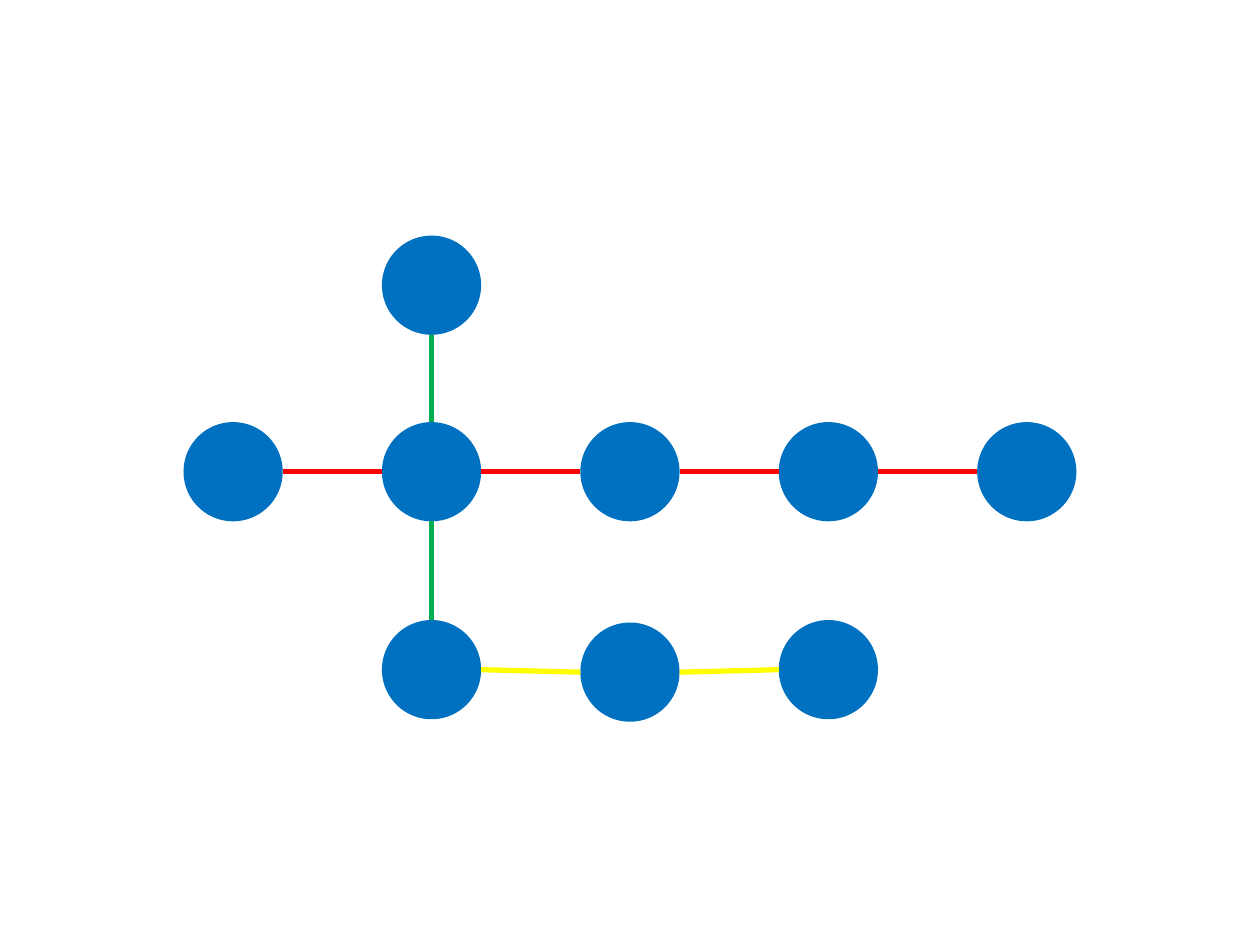
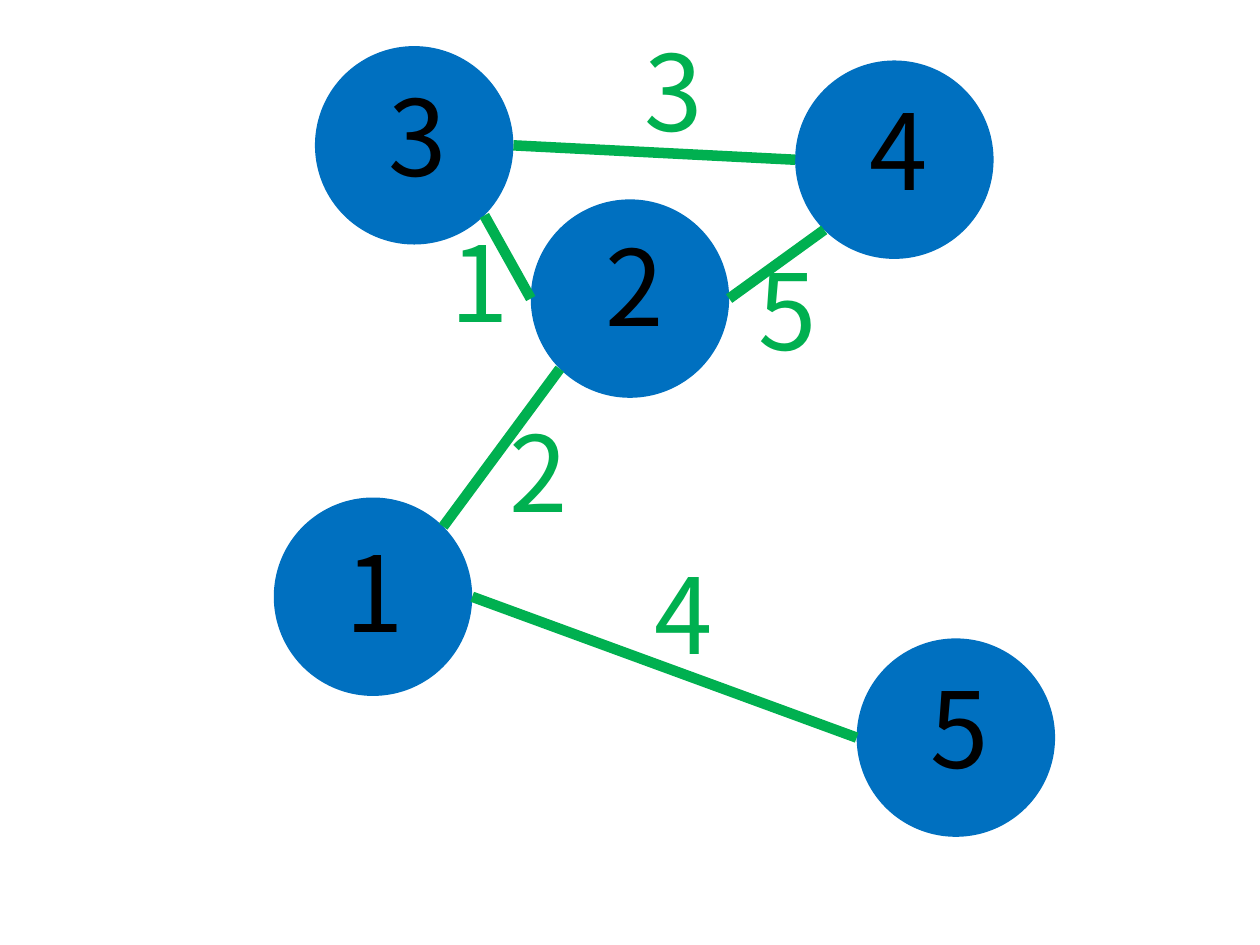
import math

import lxml.etree
import pptx
import pptx.dml.color
import pptx.enum.shapes
import pptx.enum.text
import pptx.oxml.ns
import pptx.util
from pptx.util import Cm

BLUE = pptx.dml.color.RGBColor(0x00, 0x70, 0xC0)
RED = pptx.dml.color.RGBColor(0xFF, 0x00, 0x00)
GREEN = pptx.dml.color.RGBColor(0x00, 0xB0, 0x50)
YELLOW = pptx.dml.color.RGBColor(0xFF, 0xFF, 0x00)
BLACK = pptx.dml.color.RGBColor(0x00, 0x00, 0x00)
FONT = "Noto Sans CJK SC"
BLANK_LAYOUT = 6

# Connection sites of an ellipse, counted anticlockwise from the top
TOP, TOP_LEFT, LEFT, BOTTOM_LEFT, BOTTOM, BOTTOM_RIGHT, RIGHT, TOP_RIGHT = range(8)


def add_text(shapes, text, left, top, width, height, *, size=60, color=BLACK, font=FONT):
    box = shapes.add_textbox(left, top, width, height)
    frame = box.text_frame
    frame.word_wrap = True
    frame.auto_size = pptx.enum.text.MSO_AUTO_SIZE.SHAPE_TO_FIT_TEXT
    run = frame.paragraphs[0].add_run()
    run.text = text
    run.font.size = pptx.util.Pt(size)
    run.font.name = font
    run.font.color.rgb = color
    return box


def add_node(shapes, left, top, diameter):
    node = shapes.add_shape(
        pptx.enum.shapes.MSO_SHAPE.OVAL, left, top, diameter, diameter)
    node.shadow.inherit = False
    node.fill.solid()
    node.fill.fore_color.rgb = BLUE
    node.line.fill.background()
    return node


def site_point(node, site):
    """Return the point of a connection site on a circular node."""
    angle = math.radians(90 + 45 * site)
    radius = node.width / 2
    return (round(node.left + radius * (1 + math.cos(angle))),
            round(node.top + radius * (1 - math.sin(angle))))


def add_edge(shapes, start, start_site, end, end_site, color, weight):
    """Join two nodes with a line attached to their elliptical sites."""
    edge = shapes.add_connector(
        pptx.enum.shapes.MSO_CONNECTOR.STRAIGHT,
        *site_point(start, start_site), *site_point(end, end_site))
    edge.line.color.rgb = color
    edge.line.width = pptx.util.Pt(weight)
    qn = pptx.oxml.ns.qn
    lxml.etree.SubElement(edge.element.spPr, qn("a:effectLst"))
    joints = edge.element.nvCxnSpPr.cNvCxnSpPr
    for tag, node, site in (("a:stCxn", start, start_site), ("a:endCxn", end, end_site)):
        lxml.etree.SubElement(joints, qn(tag), id=str(node.shape_id), idx=str(site))


def add_lattice(slide, left, top):
    """Draw a row of five nodes, with a branch above and a row of three below."""
    diameter, step = Cm(2), Cm(4)
    middle_top, lower_top = Cm(3.76), Cm(7.75)
    lower_sag = (Cm(0), Cm(0.05), Cm(0))

    middle = [add_node(slide.shapes, left + i * step, top + middle_top, diameter)
              for i in range(5)]
    upper = add_node(slide.shapes, left + step, top, diameter)
    lower = [add_node(slide.shapes, left + (i + 1) * step, top + lower_top + sag, diameter)
             for i, sag in enumerate(lower_sag)]

    for row, color in ((middle, RED), (lower, YELLOW)):
        for start, end in zip(row, row[1:]):
            add_edge(slide.shapes, start, RIGHT, end, LEFT, color, 3)
    branch = (upper, middle[1], lower[0])
    for start, end in zip(branch, branch[1:]):
        add_edge(slide.shapes, start, BOTTOM, end, TOP, GREEN, 3)


def add_numbered_node(slide, number, left, top, label_dx, label_dy):
    group = slide.shapes.add_group_shape()
    node = add_node(group.shapes, left, top, Cm(4))
    add_text(group.shapes, number, left + Cm(label_dx), top + Cm(label_dy),
             Cm(1.5), Cm(2.82))
    return node


def add_weighted_graph(slide, left, top):
    """Draw five numbered nodes and the weighted edges between them."""
    # number: node left and top, then label offset from the node
    places = {
        "1": (5.52, 10.03, 1.19, 0.48),
        "2": (10.7, 4.02, 1.26, 0.32),
        "3": (6.35, 0.93, 1.24, 0.38),
        "4": (16.03, 1.22, 1.24, 0.38),
        "5": (17.27, 12.87, 1.24, 0.38),
    }
    # start, site, end, site, weight, weight left and top
    edges = (
        ("2", LEFT, "3", BOTTOM_RIGHT, "1", 8.84, 4.27),
        ("1", TOP_RIGHT, "2", BOTTOM_LEFT, "2", 10.03, 8.1),
        ("3", RIGHT, "4", LEFT, "3", 12.75, 0.41),
        ("1", RIGHT, "5", LEFT, "4", 12.95, 10.95),
        ("2", RIGHT, "4", BOTTOM_LEFT, "5", 15.04, 4.83),
    )
    nodes = {
        number: add_numbered_node(slide, number, left + Cm(x), top + Cm(y), dx, dy)
        for number, (x, y, dx, dy) in places.items()
    }
    for start, start_site, end, end_site, weight, x, y in edges:
        add_edge(slide.shapes, nodes[start], start_site, nodes[end], end_site, GREEN, 6)
        add_text(slide.shapes, weight, left + Cm(x), top + Cm(y), Cm(1.17), Cm(2.82),
                 color=GREEN)


def main():
    deck = pptx.Presentation()
    deck.slide_width, deck.slide_height = Cm(25.4), Cm(19.05)
    blank = deck.slide_layouts[BLANK_LAYOUT]
    add_lattice(deck.slides.add_slide(blank), Cm(3.7), Cm(4.75))
    add_weighted_graph(deck.slides.add_slide(blank), Cm(0), Cm(0))
    deck.save("out.pptx")


if __name__ == "__main__":
    main()
